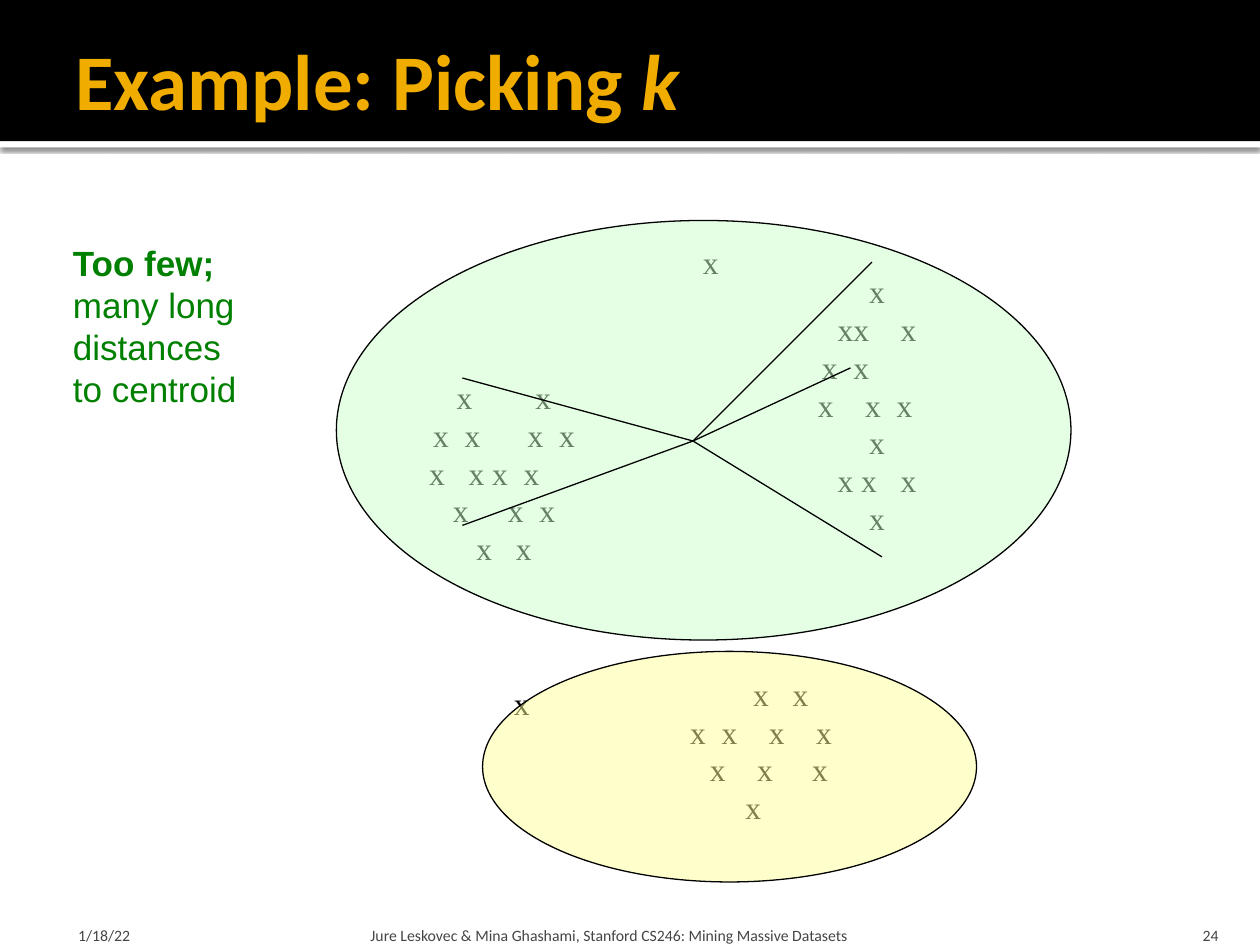
from lxml.etree import SubElement
from pptx import Presentation
from pptx.dml.color import RGBColor
from pptx.enum.shapes import MSO_CONNECTOR as CONNECTOR, MSO_SHAPE as SHAPE
from pptx.enum.text import MSO_ANCHOR as ANCHOR, PP_ALIGN as ALIGN
from pptx.oxml.ns import qn
from pptx.util import Inches, Pt

# Content
TITLE = [[("Example: Picking ", {}), ("k", {"italic": True})]]
NOTE = [[("Too few;", {"bold": True})], "many long", "distances", "to centroid"]
FOOTERS = [  # text, left, width, left inset, right inset, alignment
    ("1/18/22", 0.5, 2.33, 0.12, 0.05, ALIGN.LEFT),
    ("Jure Leskovec & Mina Ghashami, Stanford CS246: Mining Massive Datasets",
     2.89, 6.02, 0.05, 0.05, ALIGN.LEFT),
    ("24", 8.97, 0.8, 0.1, 0.1, ALIGN.RIGHT),
]
# Point clouds: frame, then the left edges of the marks in each row,
# counted in half marks from the middle of the frame
POINT_CLOUDS = [
    ((3, 2.5, 2, 2.5), [(-6, 4), (-9, -5, 3, 7), (-9.5, -4.5, -1.5, 2.5),
                        (-6.5, 0.5, 4.5), (-3.5, 1.5)]),
    ((6, 1.67, 1.92, 3.08), [(-1,), (-5, -3, 3), (-7, -3), (-7.5, -1.5, 2.5),
                             (-1,), (-5, -2, 3), (-1,)]),
    ((5, 5.08, 2.08, 1.75), [(-1, 4), (-9, -5, 1, 7), (-6.5, -0.5, 6.5), (-2,)]),
]
OUTLIERS = [(5.48, 1.88), (3.98, 5.38)]
CLUSTERS = [((2.67, 1.75, 5.83, 3.33), "CCFFCC"),
            ((3.83, 5.17, 3.92, 1.83), "FFFF99")]
CENTROID = (5.5, 3.5)
FAR_POINTS = [(3.67, 3), (3.67, 4.17), (7, 4.42), (6.75, 2.92), (6.92, 2.08)]

HALF_MARK = 0.06250  # half the width of an 18 pt "x"
MARK = {"size": 18, "font": "Times New Roman", "color": "000000", "leading": 21.6}

presentation = Presentation()
presentation.slide_width, presentation.slide_height = Inches(10), Inches(7.5)
slide = presentation.slides.add_slide(presentation.slide_layouts[6])


def rgb(color):
    return RGBColor.from_string(color)


def add_text(paragraphs, frame, *, size, font, color, bold=False, align=ALIGN.LEFT,
             anchor=ANCHOR.TOP, insets=(0.1, 0.05, 0.1, 0.05), leading=None,
             wrap=True, tabs=None):
    """Each paragraph is a string or a list of (text, format) runs."""
    text_frame = slide.shapes.add_textbox(*map(Inches, frame)).text_frame
    text_frame.word_wrap, text_frame.vertical_anchor = wrap, anchor
    (text_frame.margin_left, text_frame.margin_top,
     text_frame.margin_right, text_frame.margin_bottom) = map(Inches, insets)
    for index, runs in enumerate(paragraphs):
        paragraph = text_frame.add_paragraph() if index else text_frame.paragraphs[0]
        paragraph.alignment = align
        if leading:
            paragraph.line_spacing = Pt(leading)
        if tabs:
            tab_list = SubElement(paragraph._p.get_or_add_pPr(), qn("a:tabLst"))
            for position in tabs[index]:
                SubElement(tab_list, qn("a:tab"), pos=str(Inches(position)), algn="l")
        for text, style in [(runs, {})] if isinstance(runs, str) else runs:
            run = paragraph.add_run()
            run.text = text
            run.font.size, run.font.name = Pt(size), font
            run.font.color.rgb = rgb(color)
            run.font.bold = style.get("bold", bold)
            run.font.italic = style.get("italic", False)


def add_shape(kind, frame, fill, line=None, alpha=None):
    shape = slide.shapes.add_shape(kind, *map(Inches, frame))
    shape.shadow.inherit = False
    shape.fill.solid()
    shape.fill.fore_color.rgb = rgb(fill)
    if alpha:
        color = shape._element.spPr.find(qn("a:solidFill"))[0]
        SubElement(color, qn("a:alpha"), val=str(alpha * 1000))
    if line:
        shape.line.color.rgb, shape.line.width = rgb(line), Pt(0.75)
    else:
        shape.line.fill.background()
    return shape


def add_point_cloud(frame, rows):
    """Set each row of marks on tab stops; touching marks share one stop."""
    texts, tabs = [], []
    for edges in rows:
        text, stops, previous = "", [], None
        for edge in edges:
            if previous is None or edge - previous > 2:
                text += "\t"
                stops.append(frame[2] / 2 + edge * HALF_MARK)
            text += "x"
            previous = edge
        texts.append(text)
        tabs.append(stops)
    add_text(texts, frame, anchor=ANCHOR.MIDDLE, insets=(0, 0, 0, 0), tabs=tabs, **MARK)


# Title band with the shadowed rule below it
rule = add_shape(SHAPE.RECTANGLE, (0, 1.12, 10, 0.05), "FFFFFF")
effects = rule._element.spPr.find(qn("a:effectLst"))
shadow = SubElement(effects, qn("a:outerShdw"), blurRad=str(Pt(2.5)),
                    dist=str(Pt(0.8)), dir="5400000", rotWithShape="0")
shadow_color = SubElement(shadow, qn("a:srgbClr"), val="000000")
SubElement(shadow_color, qn("a:alpha"), val="60000")
add_shape(SHAPE.RECTANGLE, (0, 0, 10, 1.12), "000000")
add_text(TITLE, (0.5, 0.17, 9, 0.92), size=45, font="Calibri", color="F0AD00",
         bold=True, anchor=ANCHOR.MIDDLE, insets=(0.1, 0.05, 0.05, 0.05))

# Footer
for text, left, width, left_inset, right_inset, align in FOOTERS:
    add_text([text], (left, 7.2, width, 0.3), size=9, font="Calibri", color="454545",
             align=align, anchor=ANCHOR.BOTTOM, insets=(left_inset, 0.05, right_inset, 0))

# Data points, under the translucent clusters
for frame, rows in POINT_CLOUDS:
    add_point_cloud(frame, rows)
for left, top in OUTLIERS:
    add_text(["x"], (left, top, 0.37, 0.5), wrap=False, **MARK)
for frame, fill in CLUSTERS:
    add_shape(SHAPE.OVAL, frame, fill, line="000000", alpha=50)

# Distances from the centroid
for far_point in FAR_POINTS:
    distance = slide.shapes.add_connector(CONNECTOR.STRAIGHT,
                                          *map(Inches, CENTROID + far_point))
    distance.line.color.rgb, distance.line.width = rgb("000000"), Pt(0.75)
    SubElement(distance._element.spPr, qn("a:effectLst"))

# Comment on the choice of k
add_text(NOTE, (0.48, 1.87, 1.51, 1.45), size=20, font="Arial", color="008000",
         leading=24, wrap=False)

presentation.save("out.pptx")
